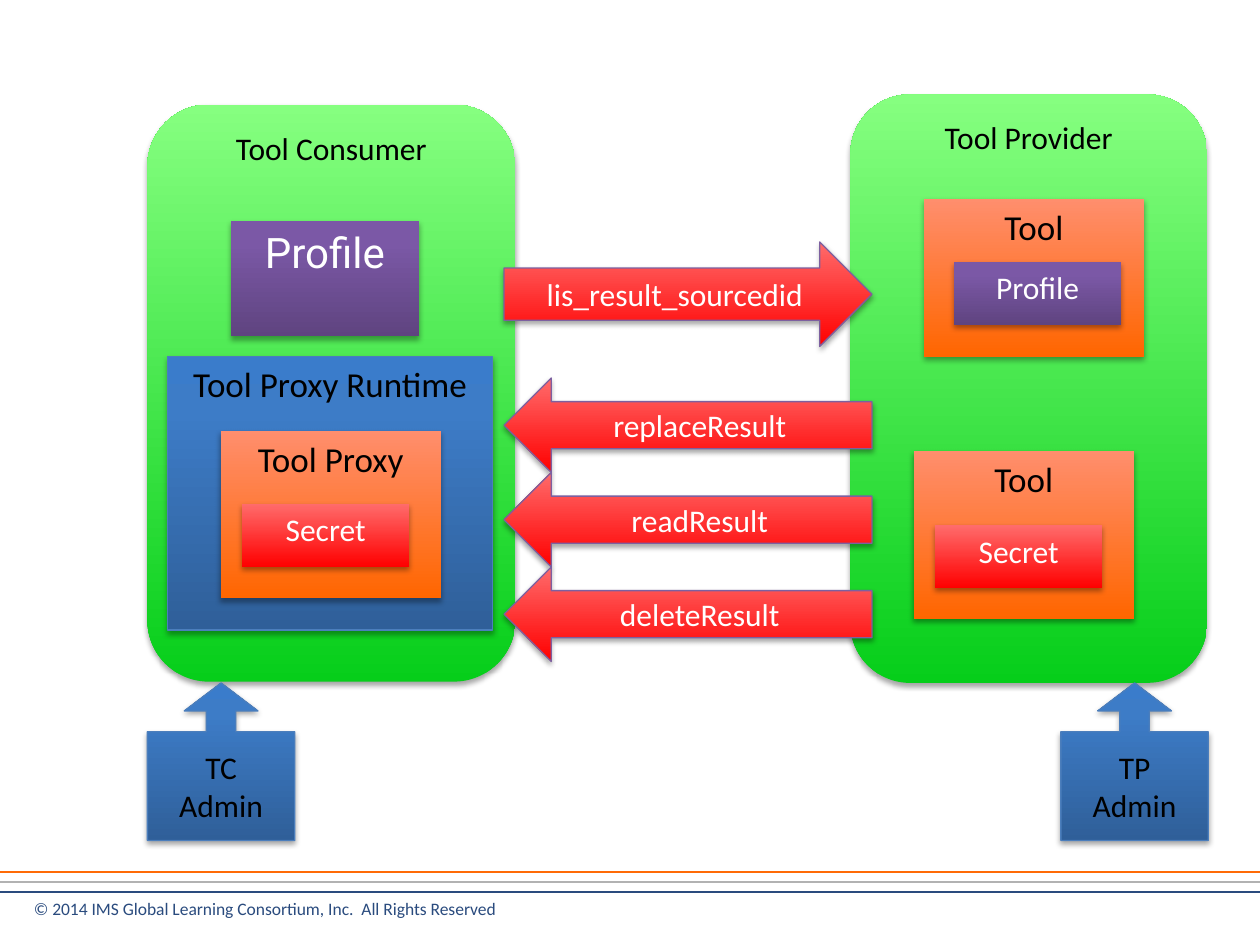
from dataclasses import dataclass

from lxml import etree
from pptx import Presentation
from pptx.dml.color import RGBColor
from pptx.enum.shapes import MSO_CONNECTOR, MSO_SHAPE
from pptx.enum.text import MSO_ANCHOR, PP_ALIGN
from pptx.oxml.ns import qn
from pptx.util import Inches, Pt

RECT = MSO_SHAPE.RECTANGLE
ROUND = MSO_SHAPE.ROUNDED_RECTANGLE
CALLOUT = MSO_SHAPE.UP_ARROW_CALLOUT
LEFT_ARROW = MSO_SHAPE.LEFT_ARROW
RIGHT_ARROW = MSO_SHAPE.RIGHT_ARROW
TOP, MIDDLE = MSO_ANCHOR.TOP, MSO_ANCHOR.MIDDLE
LEFT, CENTER = PP_ALIGN.LEFT, PP_ALIGN.CENTER

BLACK, WHITE, NAVY = "000000", "FFFFFF", "2A4B7E"

# Gradient stops run from bottom to top: (percent, colour)
GREEN = ((0, "06CE1A"), (100, "86FF80"))
ORANGE = ((0, "FF6600"), (100, "FF8E6D"))
RED = ((0, "FF0000"), (100, "FF6B6B"))
BLUE = ((0, "2F5F99"), (80, "3D7CC7"), (100, "3A7CCB"))
PURPLE = ((0, "5F4480"), (80, "7B58A6"), (100, "7C57A8"))


@dataclass
class Block:
    text: str
    x: float
    y: float
    w: float
    h: float
    stops: tuple
    kind: int = RECT
    size: int = 18
    color: str = BLACK
    font: str = "Calibri"
    line: str = ""
    anchor: int = TOP
    adj: tuple = ()


def rgb(value: str) -> RGBColor:
    return RGBColor.from_string(value)


def write(sp, text: str, *, size: int, color: str, font: str = "Calibri",
          align=CENTER, anchor=TOP) -> None:
    tf = sp.text_frame
    tf.word_wrap = True
    tf.vertical_anchor = anchor
    for i, part in enumerate(text.split("\n")):
        p = tf.add_paragraph() if i else tf.paragraphs[0]
        p.alignment = align
        r = p.add_run()
        r.text = part
        r.font.size = Pt(size)
        r.font.name = font
        r.font.color.rgb = rgb(color)


def add_color(parent, value: str):
    clr = etree.SubElement(parent, qn("a:srgbClr"))
    clr.set("val", value)
    return clr


def set_gradient(sp, stops: tuple) -> None:
    sp.fill.gradient()
    sp.fill.gradient_angle = 90
    gs_list = sp.element.spPr.find(qn("a:gradFill")).find(qn("a:gsLst"))
    for gs in list(gs_list):
        gs_list.remove(gs)
    for pos, value in stops:
        gs = etree.SubElement(gs_list, qn("a:gs"))
        gs.set("pos", str(pos * 1000))
        add_color(gs, value)


def set_shadow(sp) -> None:
    sp.shadow.inherit = False
    effects = sp.element.spPr.find(qn("a:effectLst"))
    shadow = etree.SubElement(effects, qn("a:outerShdw"))
    for key, value in (("blurRad", "40000"), ("dist", "23000"),
                       ("dir", "5400000"), ("rotWithShape", "0")):
        shadow.set(key, value)
    alpha = etree.SubElement(add_color(shadow, BLACK), qn("a:alpha"))
    alpha.set("val", "35000")


def add_block(shapes, b: Block) -> None:
    sp = shapes.add_shape(b.kind, Inches(b.x), Inches(b.y), Inches(b.w), Inches(b.h))
    for i, value in enumerate(b.adj):
        sp.adjustments[i] = value
    set_gradient(sp, b.stops)
    if b.line:
        sp.line.color.rgb = rgb(b.line)
        sp.line.width = Pt(0.75)
    else:
        sp.line.fill.background()
    set_shadow(sp)
    write(sp, b.text, size=b.size, color=b.color, font=b.font, anchor=b.anchor)


def add_rule(shapes, y: float, color: str) -> None:
    cx = shapes.add_connector(MSO_CONNECTOR.STRAIGHT, 0, Inches(y), Inches(10), Inches(y))
    cx.line.color.rgb = rgb(color)
    cx.line.width = Pt(1.5)
    etree.SubElement(cx.element.spPr, qn("a:effectLst"))


def admin(text: str, x: float) -> Block:
    return Block(text, x, 5.42, 1.17, 1.25, BLUE, CALLOUT, line="4B7EBC",
                 anchor=MIDDLE, adj=(0.2, 0.25, 0.19, 0.69))


def message(text: str, y: float, h: float = 0.75, kind: int = LEFT_ARROW) -> Block:
    return Block(text, 4, y, 2.92, h, RED, kind, color=WHITE, line="7D60A0", anchor=MIDDLE)


def tool(text: str, x: float, y: float, h: float) -> Block:
    return Block(text, x, y, 1.75, h, ORANGE, size=20)


def badge(text: str, x: float, y: float, stops: tuple) -> Block:
    return Block(text, x, y, 1.33, 0.5, stops, color=WHITE)


BLOCKS = [
    Block("Tool Consumer", 1.17, 0.83, 2.92, 4.58, GREEN, ROUND),
    Block("Tool Provider", 6.75, 0.75, 2.83, 4.67, GREEN, ROUND),
    admin("TC\nAdmin", 1.17),
    Block("Profile", 1.83, 1.75, 1.5, 0.92, PURPLE, size=24, color=WHITE, font="Roboto"),
    Block("Tool Proxy Runtime", 1.33, 2.83, 2.58, 2.17, BLUE, size=20, line="4B7EBC"),
    admin("TP\nAdmin", 8.42),
]
GROUPS = [
    (tool("Tool Proxy", 1.75, 3.42, 1.33), badge("Secret", 1.92, 4, RED)),
    (tool("Tool", 7.25, 3.58, 1.33), badge("Secret", 7.42, 4.17, RED)),
    (tool("Tool", 7.33, 1.58, 1.25), badge("Profile", 7.57, 2.08, PURPLE)),
]
REPLIES = ["replaceResult", "readResult", "deleteResult"]


def main() -> None:
    prs = Presentation()
    prs.slide_width, prs.slide_height = Inches(10), Inches(7.5)
    s = prs.slides.add_slide(prs.slide_layouts[6])

    # Footer rules and copyright
    for y, color in ((6.92, "FF6B06"), (7.08, NAVY), (7, "B2B2B2")):
        add_rule(s.shapes, y, color)
    box = s.shapes.add_textbox(Inches(0.17), Inches(7.08), Inches(4.92), Inches(0.4))
    write(box, "© 2014 IMS Global Learning Consortium, Inc.  All Rights Reserved",
          size=10, color=NAVY, align=LEFT)

    # Consumer, provider and their admins
    for block in BLOCKS:
        add_block(s.shapes, block)

    # Tools with their secret or profile
    for pair in GROUPS:
        group = s.shapes.add_group_shape()
        for block in pair:
            add_block(group.shapes, block)

    # Messages between the two sides
    for i, text in enumerate(REPLIES):
        add_block(s.shapes, message(text, 3 + 0.75 * i))
    add_block(s.shapes, message("lis_result_sourcedid", 1.92, 0.83, RIGHT_ARROW))

    prs.save("out.pptx")


if __name__ == "__main__":
    main()
